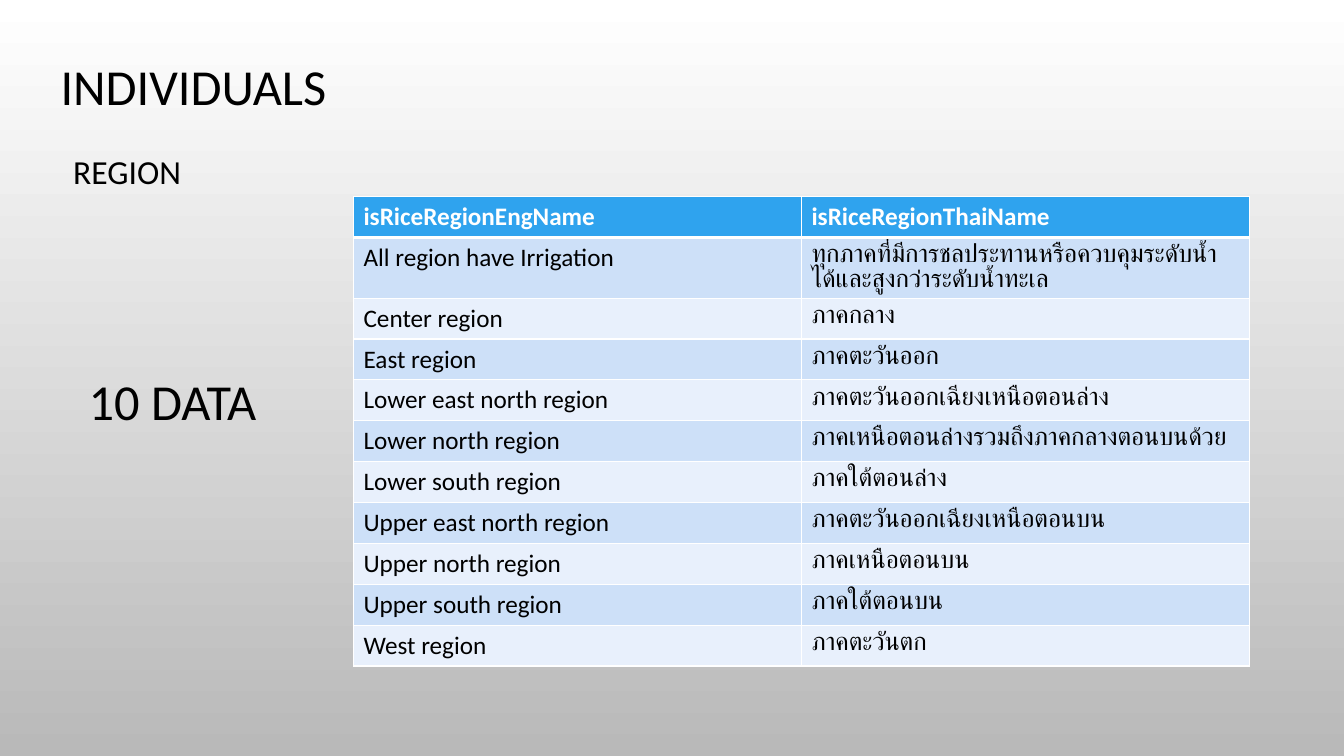
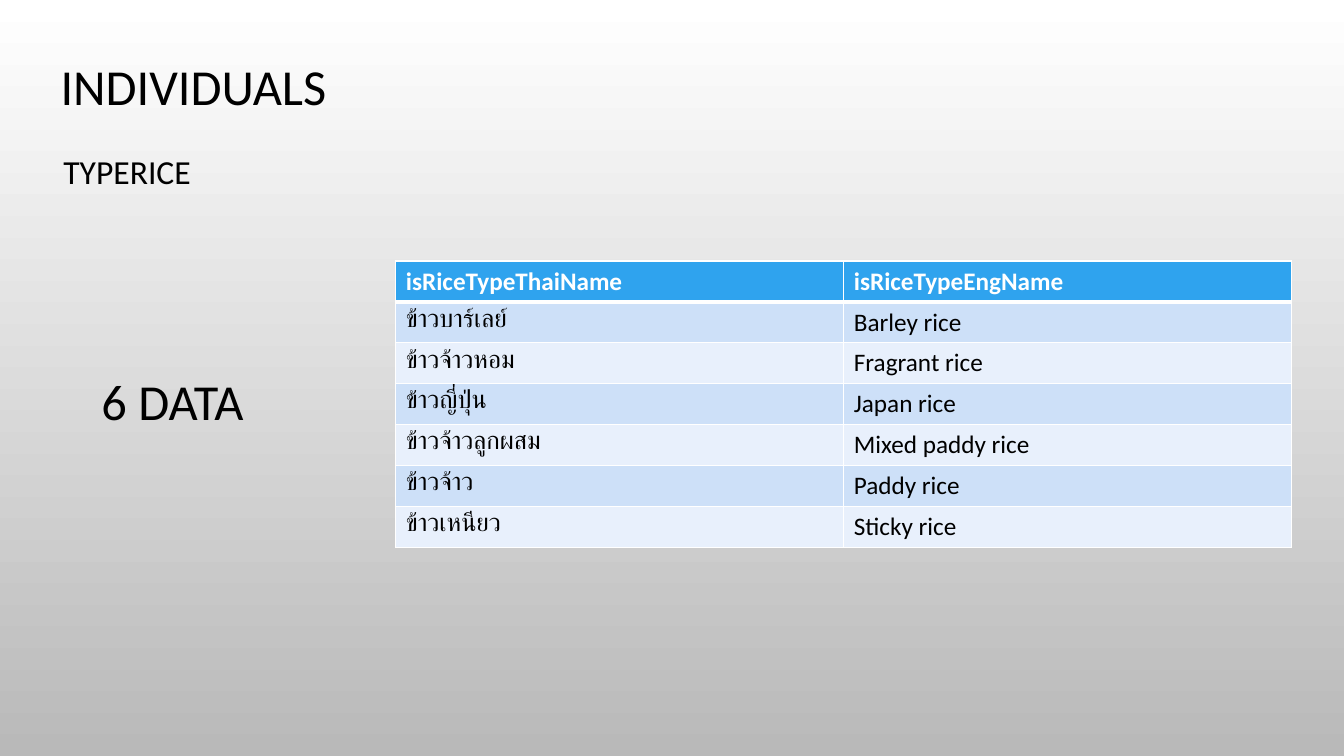
from lxml import etree
from pptx import Presentation
from pptx.dml.color import RGBColor
from pptx.enum.text import MSO_ANCHOR, MSO_AUTO_SIZE, PP_ALIGN
from pptx.oxml.ns import qn
from pptx.util import Pt

MIDDLE = MSO_ANCHOR.MIDDLE
CENTER = PP_ALIGN.CENTER
NO_AUTOFIT = MSO_AUTO_SIZE.NONE

FONT = "Calibri"
BLACK = "000000"
WHITE = "FFFFFF"
GREY = "B9B9B9"
HEADER_BLUE = "2FA3EE"
BAND_COLORS = ("CDE0F8", "E8F0FC")

TITLE_ONLY = 5
TITLE_BOX = (23.75, 31, 229, 65.5)
SUBJECT_BOX = (37.5, 96.5, 106.5, 54.7)
COUNT_BOX = (37.5, 255.6, 171.4, 65.5)
COLUMN_WIDTH = 320
ROW_HEIGHT = 29.2

REGIONS = [
    ("isRiceRegionEngName", "isRiceRegionThaiName"),
    ("All region have Irrigation", "ทุกภาคที่มีการชลประทานหรือควบคุมระดับน้ำได้และสูงกว่าระดับน้ำทะเล"),
    ("Center region", "ภาคกลาง"),
    ("East region", "ภาคตะวันออก"),
    ("Lower east north region", "ภาคตะวันออกเฉียงเหนือตอนล่าง"),
    ("Lower north region", "ภาคเหนือตอนล่างรวมถึงภาคกลางตอนบนด้วย"),
    ("Lower south region", "ภาคใต้ตอนล่าง"),
    ("Upper east north region", "ภาคตะวันออกเฉียงเหนือตอนบน"),
    ("Upper north region", "ภาคเหนือตอนบน"),
    ("Upper south region", "ภาคใต้ตอนบน"),
    ("West region", "ภาคตะวันตก"),
]
RICE_TYPES = [
    ("isRiceTypeThaiName", "isRiceTypeEngName"),
    ("ข้าวบาร์เลย์", "Barley rice"),
    ("ข้าวจ้าวหอม", "Fragrant rice"),
    ("ข้าวญี่ปุ่น", "Japan rice"),
    ("ข้าวจ้าวลูกผสม", "Mixed paddy rice"),
    ("ข้าวจ้าว", "Paddy rice"),
    ("ข้าวเหนียว", "Sticky rice"),
]


def color(code):
    return RGBColor.from_string(code)


def add_span(para, text, size, code, bold=False):
    span = para.add_run()
    span.text = text
    span.font.name = FONT
    span.font.size = Pt(size)
    span.font.bold = bold
    span.font.color.rgb = color(code)


def paint_background(master):
    fill = master.background.fill
    fill.gradient()
    fill.gradient_angle = 270
    for stop, code in zip(fill.gradient_stops, (WHITE, GREY)):
        stop.color.rgb = color(code)


def write_caption(box, bounds, text, size):
    box.left, box.top, box.width, box.height = map(Pt, bounds)
    frame = box.text_frame
    frame.word_wrap = True
    frame.auto_size = NO_AUTOFIT
    frame.vertical_anchor = MIDDLE
    para = frame.paragraphs[0]
    para.alignment = CENTER
    para.line_spacing = 0.9
    add_span(para, text, size, BLACK)


def add_caption(page, bounds, text, size):
    box = page.shapes.add_textbox(*map(Pt, bounds))
    write_caption(box, bounds, text, size)


def set_borders(cell, top, bottom):
    properties = cell._tc.get_or_add_tcPr()
    for side, width in (("L", 1), ("R", 1), ("T", top), ("B", bottom)):
        line = etree.SubElement(properties, qn("a:ln" + side), w=str(Pt(width)))
        fill = etree.SubElement(line, qn("a:solidFill"))
        etree.SubElement(fill, qn("a:srgbClr"), val=WHITE)


def write_cell(cell, text, row):
    is_header = row == 0
    set_borders(cell, 3 if row == 1 else 1, 3 if is_header else 1)
    cell.fill.solid()
    cell.fill.fore_color.rgb = color(HEADER_BLUE if is_header else BAND_COLORS[(row - 1) % 2])
    para = cell.text_frame.paragraphs[0]
    add_span(para, text, 18, WHITE if is_header else BLACK, is_header)


def add_name_table(page, left, top, records):
    columns = len(records[0])
    size = (columns * COLUMN_WIDTH, len(records) * ROW_HEIGHT)
    table = page.shapes.add_table(
        len(records), columns, Pt(left), Pt(top), *map(Pt, size)
    ).table
    table.horz_banding = False
    for column in table.columns:
        column.width = Pt(COLUMN_WIDTH)
    for row, record in enumerate(records):
        table.rows[row].height = Pt(ROW_HEIGHT)
        for column, text in enumerate(record):
            write_cell(table.cell(row, column), text, row)


def add_individuals_page(deck, subject, left, top, records):
    page = deck.slides.add_slide(deck.slide_layouts[TITLE_ONLY])
    write_caption(page.shapes.title, TITLE_BOX, "INDIVIDUALS", 36)
    add_caption(page, SUBJECT_BOX, subject, 24)
    add_caption(page, COUNT_BOX, f"{len(records) - 1} DATA", 36)
    add_name_table(page, left, top, records)


def main():
    deck = Presentation()
    deck.slide_width, deck.slide_height = Pt(960), Pt(540)
    paint_background(deck.slide_master)
    add_individuals_page(deck, "REGION", 252.5, 140.5, REGIONS)
    add_individuals_page(deck, "TYPERICE", 282.75, 186.5, RICE_TYPES)
    deck.save("out.pptx")


if __name__ == "__main__":
    main()
